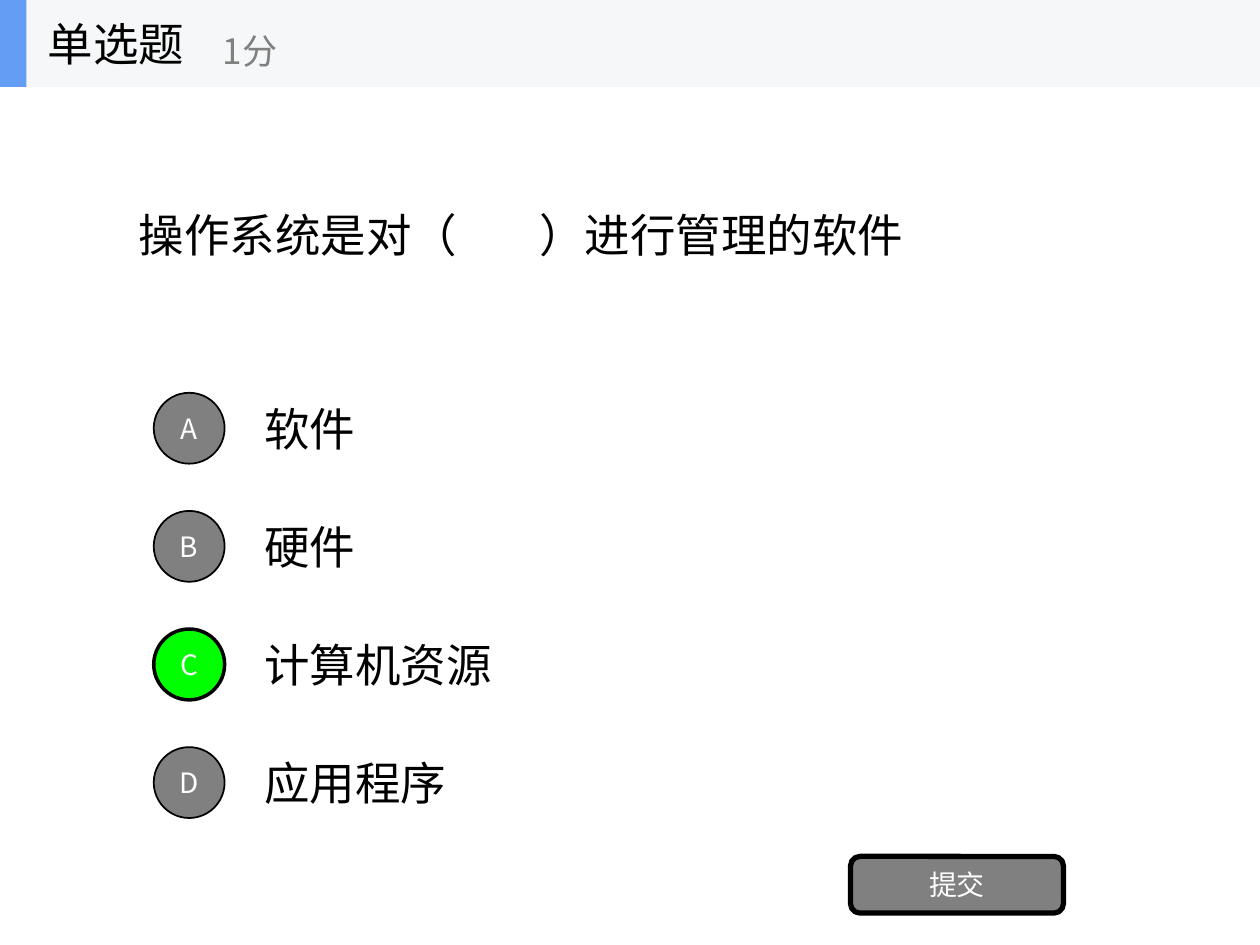
from dataclasses import dataclass

from lxml import etree
from pptx import Presentation
from pptx import util as u
from pptx.dml.color import RGBColor
from pptx.enum import shapes, text
from pptx.oxml.ns import qn


@dataclass(frozen=True)
class Theme:
    font: str = "Noto Sans CJK SC"
    ink: str = "000000"
    paper: str = "FFFFFF"
    muted: str = "808080"
    correct: str = "00FF00"
    band: str = "F6F7F8"
    accent: str = "639EF4"
    body: int = 26
    points: int = 20
    button: int = 16


theme = Theme()
deck = Presentation()
deck.slide_width, deck.slide_height = u.Inches(10), u.Inches(7.5)
col, row = deck.slide_width / 10, deck.slide_height / 8
slide = deck.slides.add_slide(deck.slide_layouts[5])
band_height = u.Inches(0.69)


def write(shape, words, size=theme.body, color=theme.ink,
          align=text.PP_ALIGN.LEFT, inset=0.1):
    """Put one formatted line of text into a shape."""
    frame = shape.text_frame
    frame.word_wrap = True
    frame.auto_size = text.MSO_AUTO_SIZE.NONE
    frame.vertical_anchor = text.MSO_ANCHOR.MIDDLE
    frame.margin_left = frame.margin_right = u.Inches(inset)
    line = frame.paragraphs[0]
    line.alignment = align
    run = line.add_run()
    run.text = words
    run.font.size = u.Pt(size)
    run.font.color.rgb = RGBColor.from_string(color)
    run.font.name = theme.font
    etree.SubElement(run.font._element, qn("a:ea"), typeface=theme.font)


def draw(parent, kind, left, top, width, height, fill, border=0):
    """Add a flat shape, outlined in ink when a border width is given."""
    shape = parent.add_shape(kind, *map(int, (left, top, width, height)))
    shape.shadow.inherit = False
    shape.fill.solid()
    shape.fill.fore_color.rgb = RGBColor.from_string(fill)
    if border:
        shape.line.color.rgb = RGBColor.from_string(theme.ink)
        shape.line.width = u.Pt(border)
    else:
        shape.line.fill.background()
    return shape


# Question, with a tab stop that opens the blank between the brackets
question = slide.shapes.title
question.left, question.top = int(col), band_height
question.width, question.height = int(8 * col), int(2.5 * row)
blank = question.text_frame.paragraphs[0]._p.get_or_add_pPr()
stops = etree.SubElement(blank, qn("a:tabLst"))
etree.SubElement(stops, qn("a:tab"), pos=str(u.Inches(3.18)), algn="l")
write(question, "操作系统是对（\t）进行管理的软件")

# Answers: one grid row each, a lettered circle beside its text
answers = ["软件", "硬件", "计算机资源", "应用程序"]
correct_letter = "C"
answer_height, circle_size = 0.75 * row, 0.6 * row
for index, (letter, answer) in enumerate(zip("ABCD", answers)):
    top = (3.25 + index) * row
    label = slide.shapes.add_textbox(
        int(2 * col), int(top), int(7 * col), int(answer_height))
    write(label, answer)
    is_correct = letter == correct_letter
    circle = draw(slide.shapes, shapes.MSO_SHAPE.OVAL, 1.22 * col,
                  top + (answer_height - circle_size) / 2,
                  circle_size, circle_size,
                  fill=theme.correct if is_correct else theme.muted,
                  border=2 if is_correct else 1)
    write(circle, letter, size=theme.button, color=theme.paper,
          align=text.PP_ALIGN.CENTER, inset=0)

# Submit button
submit = draw(slide.shapes, shapes.MSO_SHAPE.ROUNDED_RECTANGLE, 6.75 * col,
              7.25 * row, 1.69 * col, 0.48 * row, fill=theme.muted, border=3)
write(submit, "提交", size=theme.button, color=theme.paper,
      align=text.PP_ALIGN.CENTER)

# Header: band, accent block, question type and points
header = slide.shapes.add_group_shape().shapes
for width, fill in ((10 * col, theme.band), (0.21 * col, theme.accent)):
    draw(header, shapes.MSO_SHAPE.RECTANGLE, 0, 0, width, band_height, fill)
question_type = header.add_textbox(
    int(0.28 * col), 0, int(2.08 * col), band_height)
write(question_type, "单选题")
points = header.add_textbox(
    int(1.67 * col), u.Inches(0.12), int(2.5 * col), int(0.6 * row))
write(points, "1分", size=theme.points, color=theme.muted)

deck.save("out.pptx")
